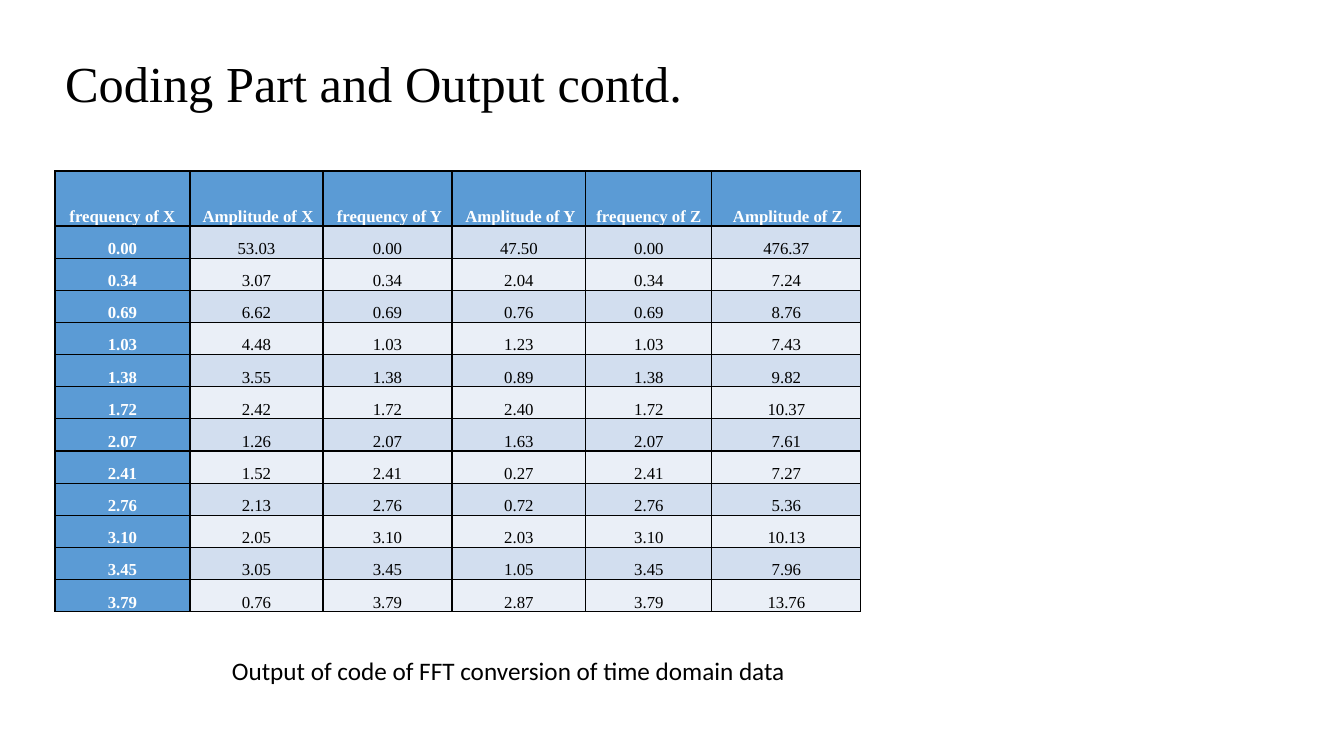
from lxml.etree import SubElement
from pptx import Presentation
from pptx.dml.color import RGBColor
from pptx.enum.text import MSO_ANCHOR as Anchor, MSO_AUTO_SIZE as AutoSize, PP_ALIGN as Align
from pptx.oxml.ns import qn
from pptx.util import Emu, Pt

BLACK = RGBColor(0x00, 0x00, 0x00)
WHITE = RGBColor(0xFF, 0xFF, 0xFF)
BLUE = RGBColor(0x5B, 0x9B, 0xD5)
BAND_DARK = RGBColor(0xD2, 0xDE, 0xEF)
BAND_LIGHT = RGBColor(0xEA, 0xEF, 0xF7)

EMU_PER_PX = 914400 / 100.8
TITLE_ONLY = 5

HEADERS = ["frequency of X", " Amplitude of X", " frequency of Y",
           " Amplitude of Y", "frequency of Z", " Amplitude of Z"]
COLUMN_WIDTHS = [135, 133, 129, 134, 126, 149]
# frequency, then the amplitudes of X, Y and Z
SPECTRUM = [
    ("0.00", "53.03", "47.50", "476.37"),
    ("0.34", "3.07", "2.04", "7.24"),
    ("0.69", "6.62", "0.76", "8.76"),
    ("1.03", "4.48", "1.23", "7.43"),
    ("1.38", "3.55", "0.89", "9.82"),
    ("1.72", "2.42", "2.40", "10.37"),
    ("2.07", "1.26", "1.63", "7.61"),
    ("2.41", "1.52", "0.27", "7.27"),
    ("2.76", "2.13", "0.72", "5.36"),
    ("3.10", "2.05", "2.03", "10.13"),
    ("3.45", "3.05", "1.05", "7.96"),
    ("3.79", "0.76", "2.87", "13.76"),
]


def px(length):
    return Emu(round(length * EMU_PER_PX))


def write_text(frame, text, *, size, font, color=BLACK, bold=False,
               align=Align.LEFT, line_spacing=None):
    paragraph = frame.paragraphs[0]
    paragraph.alignment = align
    if line_spacing:
        paragraph.line_spacing = line_spacing
    run = paragraph.add_run()
    run.text = text
    run.font.size = Pt(size)
    run.font.name = font
    run.font.bold = bold
    run.font.color.rgb = color


def outline_cell(cell, color, width):
    properties = cell._tc.get_or_add_tcPr()
    for side in ("lnL", "lnR", "lnT", "lnB"):
        line = SubElement(properties, qn(f"a:{side}"), w=str(Pt(width)))
        fill = SubElement(line, qn("a:solidFill"))
        SubElement(fill, qn("a:srgbClr"), val=str(color))


class SlideBuilder:
    serif = "Times New Roman"
    sans = "Calibri"

    def __init__(self, slide):
        self.slide = slide

    def title(self, text, left, top, width, height):
        shape = self.slide.shapes.title
        shape.left, shape.top = px(left), px(top)
        shape.width, shape.height = px(width), px(height)
        frame = shape.text_frame
        frame.auto_size = AutoSize.NONE
        frame.vertical_anchor = Anchor.MIDDLE
        write_text(frame, text, size=36, font=self.serif, line_spacing=0.9)

    def caption(self, text, left, top, width, height):
        box = self.slide.shapes.add_textbox(px(left), px(top), px(width), px(height))
        frame = box.text_frame
        frame.word_wrap = False
        frame.auto_size = AutoSize.SHAPE_TO_FIT_TEXT
        write_text(frame, text, size=18, font=self.sans)

    def table(self, rows, column_widths, left, top, header_height, body_height):
        """The rows below the header share body_height equally."""
        table = self.slide.shapes.add_table(
            len(rows), len(column_widths), px(left), px(top),
            px(sum(column_widths)), px(header_height + body_height)).table
        for column, width in zip(table.columns, column_widths):
            column.width = px(width)
        for index, values in enumerate(rows):
            row_height = body_height / (len(rows) - 1) if index else header_height
            table.rows[index].height = px(row_height)
            band = BAND_DARK if index % 2 else BAND_LIGHT
            for position, value in enumerate(values):
                is_heading = index == 0 or position == 0
                self.cell(table.cell(index, position), value, is_heading, band)

    def cell(self, cell, text, is_heading, band):
        cell.margin_left = cell.margin_right = px(7)
        cell.margin_top = cell.margin_bottom = 0
        cell.vertical_anchor = Anchor.BOTTOM
        outline_cell(cell, BLACK, 1)
        cell.fill.solid()
        cell.fill.fore_color.rgb = BLUE if is_heading else band
        write_text(cell.text_frame, text, size=12, font=self.serif, bold=is_heading,
                   color=WHITE if is_heading else BLACK, align=Align.CENTER)


def main():
    presentation = Presentation()
    presentation.slide_width, presentation.slide_height = px(1344), px(756)
    slide = presentation.slides.add_slide(presentation.slide_layouts[TITLE_ONLY])
    builder = SlideBuilder(slide)
    builder.title("Coding Part and Output contd.", 55, 38, 666, 96)
    body = [[value for amplitude in amplitudes for value in (frequency, amplitude)]
            for frequency, *amplitudes in SPECTRUM]
    builder.table([HEADERS, *body], COLUMN_WIDTHS, 55, 171,
                  header_height=55, body_height=386)
    builder.caption("Output of code of FFT conversion of time domain data",
                    222, 650, 580, 40)
    presentation.save("out.pptx")


if __name__ == "__main__":
    main()
